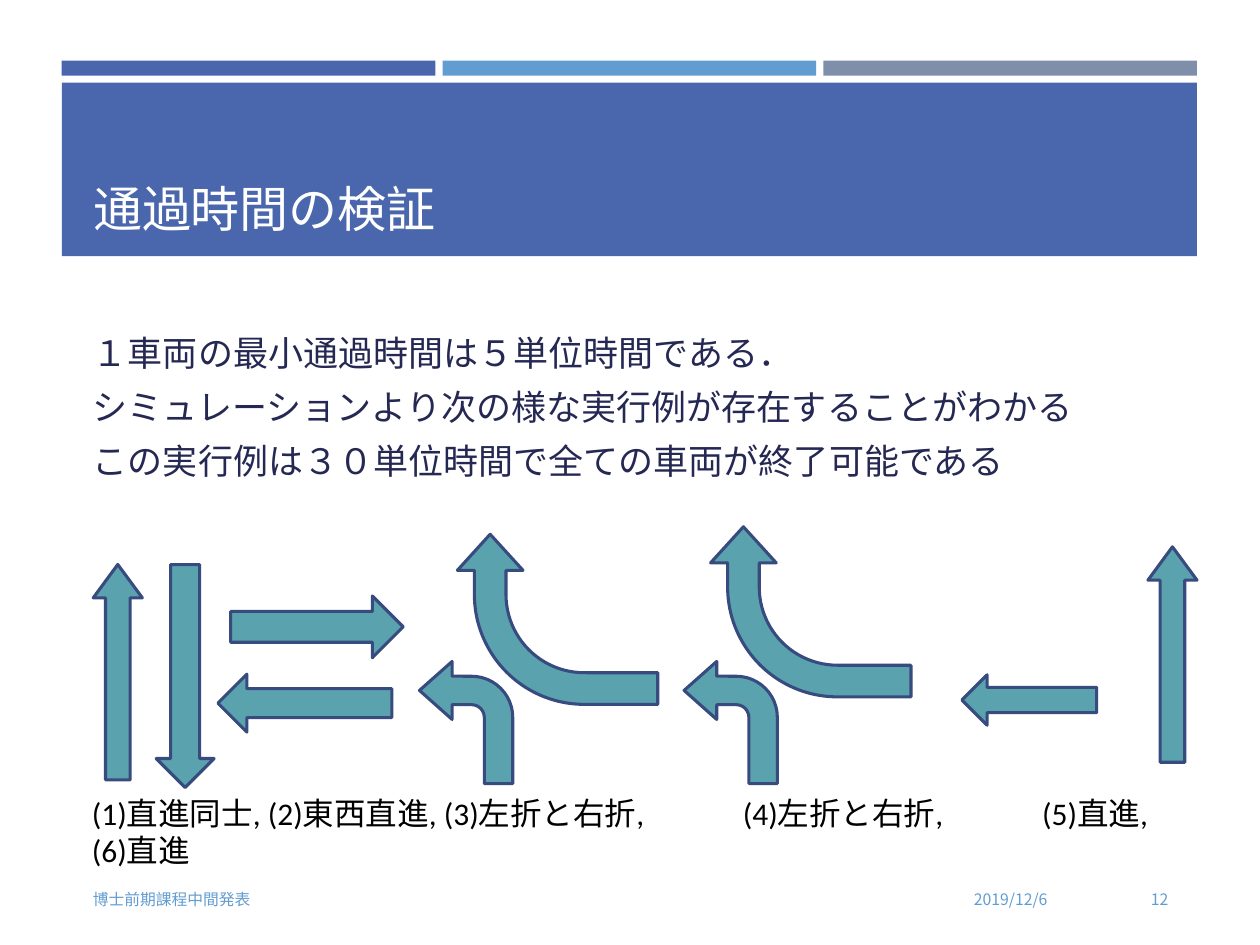
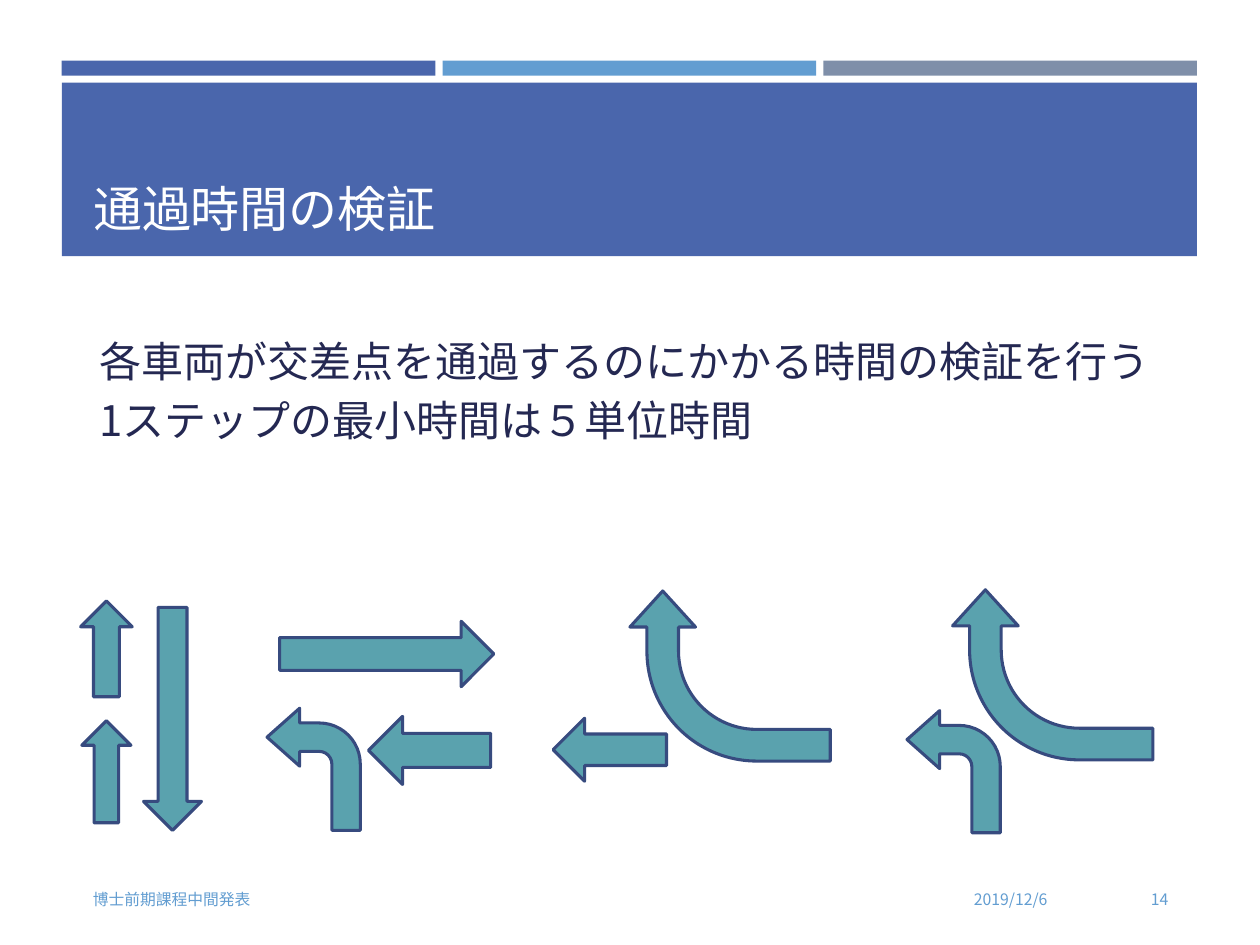
import pptx
import pptx.util
import pptx.dml.color
import pptx.enum.shapes
import pptx.enum.text
import pptx.oxml.ns
import lxml.etree
from dataclasses import dataclass

Pt = pptx.util.Pt
Form = pptx.enum.shapes.MSO_SHAPE
Align = pptx.enum.text.PP_ALIGN
Anchor = pptx.enum.text.MSO_ANCHOR
qn = pptx.oxml.ns.qn


@dataclass(frozen=True)
class Theme:
    main: str = "4A66AC"
    sky: str = "629DD1"
    slate: str = "7F8FA9"
    ink: str = "242852"
    black: str = "000000"
    white: str = "FFFFFF"
    teal: str = "5AA2AE"
    edge: str = "374B7F"
    font: str = "Noto Sans CJK JP"
    latin: str = "Calibri"
    head: int = 28
    note: int = 18
    foot: int = 9
    stroke: float = 1.75


theme = Theme()

TITLE = "通過時間の検証"
DATE = "2019/12/6"
EVENT = "博士前期課程中間発表"

SLIDES = [
    dict(
        page="12",
        body=[
            "１車両の最小通過時間は５単位時間である．",
            "シミュレーションより次の様な実行例が存在することがわかる",
            "この実行例は３０単位時間で全ての車両が終了可能である",
        ],
        box=(46, 149, 629.3, 164.2),
        style=dict(size=20, gap=4.4, pitch=1.1),
        arrows=[
            ("tall", 67.3, 384.1, 28.1, 123.1),
            ("down", 105.8, 386.3, 33.1, 127.4),
            ("right", 181.1, 358.2, 35.3, 98.6),
            ("left", 588.2, 400, 28.8, 77),
            ("sweep", 318.6, 353.9),
            ("left", 174.2, 401.8, 33.1, 99.4),
            ("turn", 266.4, 412.9),
            ("sweep", 463.3, 349.6),
            ("turn", 417.6, 412.9),
            ("tall", 670, 374, 28.1, 123.1),
        ],
        note="(1)直進同士, (2)東西直進, (3)左折と右折,\t(4)左折と右折,\t(5)直進, (6)直進",
    ),
    dict(
        page="14",
        body=[
            "各車両が交差点を通過するのにかかる時間の検証を行う",
            "1ステップの最小時間は５単位時間",
        ],
        box=(49.7, 144, 620.6, 157.7),
        style=dict(size=24, gap=4.9),
        arrows=[
            ("up", 60.8, 441, 28.1, 58.3),
            ("down", 98.6, 410.8, 33.1, 127.4),
            ("right", 221, 373.7, 37.4, 122.4),
            ("left", 245.5, 428.8, 38.9, 69.8),
            ("sweep", 417.2, 386.3),
            ("left", 348.5, 428.4, 36, 64.8),
            ("turn", 179.3, 439.6),
            ("up", 60.8, 370.8, 29.5, 54.7),
            ("sweep", 601.6, 385.6),
            ("turn", 545, 441),
        ],
    ),
]

KINDS = {
    "up": dict(form=Form.UP_ARROW),
    "tall": dict(form=Form.UP_ARROW, bend=(0.5, 0.68)),
    "down": dict(form=Form.UP_ARROW, turn=180),
    "right": dict(form=Form.UP_ARROW, turn=90),
    "left": dict(form=Form.UP_ARROW, turn=270),
    "sweep": dict(form=Form.BENT_ARROW, turn=270, size=(97.2, 114.5),
                  bend=(0.186, 0.193, 0.212, 0.646)),
    "turn": dict(form=Form.BENT_ARROW, flip=True, size=(53.3, 69.8),
                 bend=(0.305, 0.311, 0.35, 0.441)),
}

LEFT, SPAN, GAP = 35.3, 648.7, 4.1
TABS = (372, 543)


def rgb(code):
    return pptx.dml.color.RGBColor.from_string(code)


def place(shape, box):
    shape.left, shape.top, shape.width, shape.height = map(Pt, box)


def write(shape, text, size, color, font=theme.font, align=Align.LEFT,
          anchor=Anchor.MIDDLE, gap=0, pitch=1, tabs=()):
    frame = shape.text_frame
    frame.word_wrap = True
    frame.auto_size = pptx.enum.text.MSO_AUTO_SIZE.NONE
    frame.vertical_anchor = anchor
    lines = [text] if isinstance(text, str) else text
    for i, line in enumerate(lines):
        para = frame.add_paragraph() if i else frame.paragraphs[0]
        para.alignment = align
        para.line_spacing = pitch
        para.space_before = Pt(gap if i else 0)
        para.space_after = Pt(0)
        if tabs:
            stops = lxml.etree.SubElement(para._p.get_or_add_pPr(), qn("a:tabLst"))
            for stop in tabs:
                lxml.etree.SubElement(stops, qn("a:tab"), pos=str(Pt(stop)), algn="l")
        run = para.add_run()
        run.text = line
        run.font.size = Pt(size)
        run.font.bold = False
        run.font.color.rgb = rgb(color)
        run.font.name = font
        east = lxml.etree.SubElement(run._r.get_or_add_rPr(), qn("a:ea"))
        east.set("typeface", theme.font)


def label(slide, box, text, **style):
    write(slide.shapes.add_textbox(*map(Pt, box)), text, **style)


def draw(slide, form, box, fill, line=None):
    shape = slide.shapes.add_shape(form, *map(Pt, box))
    shape.shadow.inherit = False
    shape.fill.solid()
    shape.fill.fore_color.rgb = rgb(fill)
    if line:
        shape.line.color.rgb = rgb(line)
        shape.line.width = Pt(theme.stroke)
    else:
        shape.line.fill.background()
    return shape


def arrow(slide, kind, x, y, *size):
    rule = KINDS[kind]
    wide, high = size or rule["size"]
    box = (x - wide / 2, y - high / 2, wide, high)
    shape = draw(slide, rule["form"], box, theme.teal, theme.edge)
    for i, value in enumerate(rule.get("bend", ())):
        shape.adjustments[i] = value
    shape.rotation = rule.get("turn", 0)
    if rule.get("flip"):
        shape.element.spPr.xfrm.set("flipH", "1")


def base(slide, page):
    wide = (SPAN - 2 * GAP) / 3
    for i, fill in enumerate((theme.main, theme.sky, theme.slate)):
        draw(slide, Form.RECTANGLE, (LEFT + i * (wide + GAP), 34.7, wide, 8.5), fill)
    draw(slide, Form.RECTANGLE, (LEFT, 47.3, SPAN, 99.1), theme.main)
    title = slide.shapes.title
    slide.shapes._spTree.append(title.element)
    place(title, (46, 54, 629.3, 85))
    write(title, TITLE, size=theme.head, color=theme.white, anchor=Anchor.BOTTOM)
    for left, wide, text, align in (
        (437.8, 167.8, DATE, Align.RIGHT),
        (46, 383.8, EVENT, Align.LEFT),
        (614.2, 60.5, page, Align.RIGHT),
    ):
        label(slide, (left, 499.7, wide, 28.8), text, size=theme.foot,
              color=theme.sky, align=align)


def main():
    deck = pptx.Presentation()
    deck.slide_width, deck.slide_height = Pt(720), Pt(540)
    for item in SLIDES:
        slide = deck.slides.add_slide(deck.slide_layouts[5])
        base(slide, item["page"])
        label(slide, item["box"], item["body"], color=theme.ink, **item["style"])
        for part in item["arrows"]:
            arrow(slide, *part)
        if "note" in item:
            label(slide, (45.4, 450, 629.3, 28.8), item["note"], size=theme.note,
                  color=theme.black, font=theme.latin, anchor=Anchor.TOP, tabs=TABS)
    deck.save("out.pptx")


if __name__ == "__main__":
    main()
